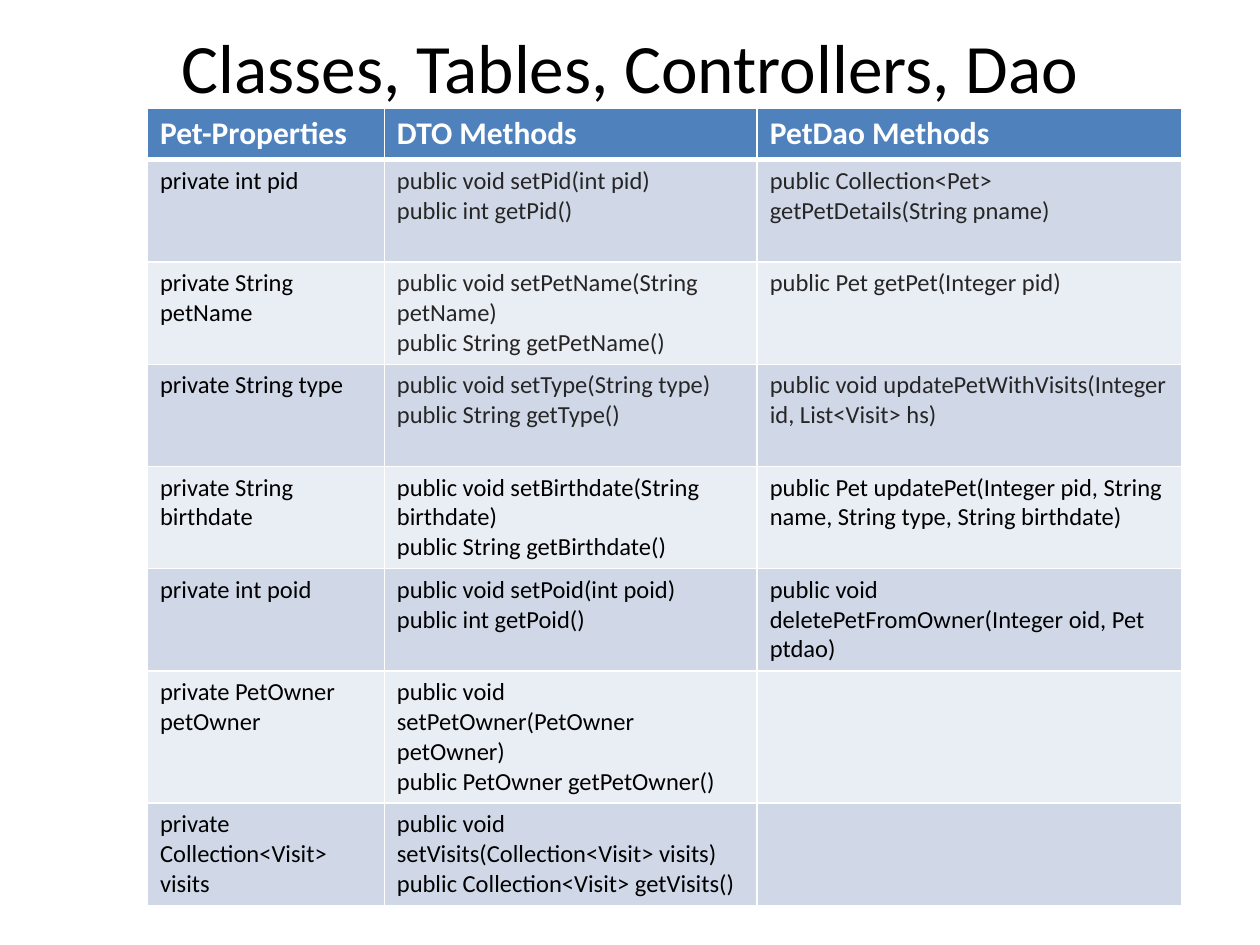
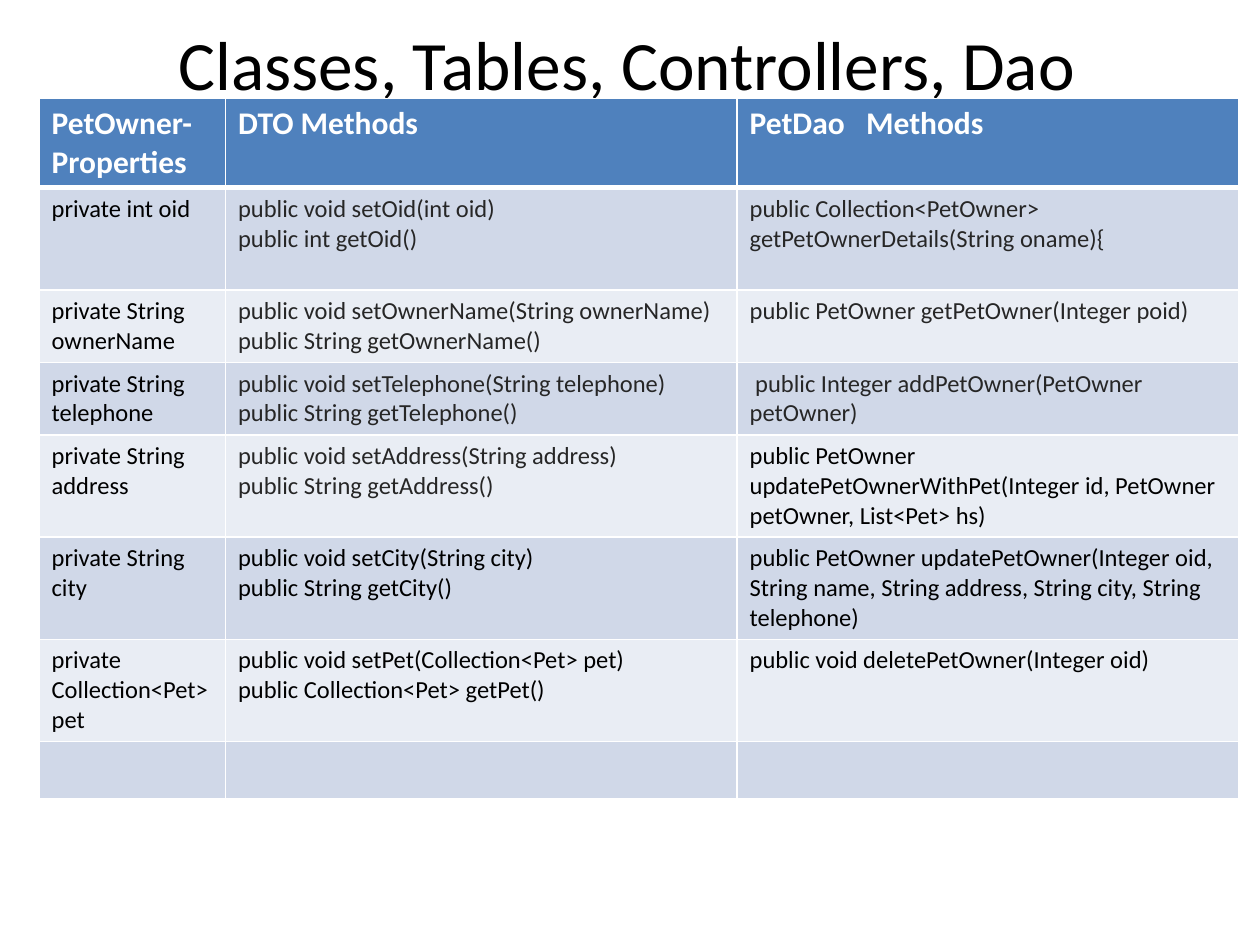
from dataclasses import dataclass

from lxml import etree
from pptx import Presentation
from pptx.dml.color import RGBColor
from pptx.enum.text import MSO_ANCHOR, MSO_AUTO_SIZE, PP_ALIGN
from pptx.oxml.ns import qn
from pptx.util import Inches, Pt

CENTER, LEFT = PP_ALIGN.CENTER, PP_ALIGN.LEFT
MIDDLE = MSO_ANCHOR.MIDDLE
NO_FIT = MSO_AUTO_SIZE.NONE

COLORS = {
    "header": "4F81BD",
    "odd": "D0D8E8",
    "even": "E9EDF4",
    "grid": "FFFFFF",
    "heading": "FFFFFF",
    "text": "000000",
    "muted": "262626",
}
FONT = "Calibri"
TITLE = "Classes, Tables, Controllers, Dao"
TITLE_SIZE, HEADER_SIZE, BODY_SIZE = 39.6, 18, 14
LINE_SPACING = 1.22
CELL_PADDING = 7.2
THIN, THICK = 1, 3
TITLE_ONLY = 5
SLIDE_WIDTH, SLIDE_HEIGHT = Inches(10), Inches(7.5)


@dataclass(frozen=True)
class Row:
    cells: tuple[str, str, str]
    lines: int
    muted: tuple[int, ...] = ()


@dataclass(frozen=True)
class ClassPage:
    """Positions and widths are percentages of the slide's size."""
    title_box: tuple[float, float, float, float]
    table_left: float
    table_top: float
    columns: tuple[float, float, float]
    rows: tuple[Row, ...]


PAGES = (
    ClassPage((5, 4, 90, 6), 11.7, 11.5, (18.8, 29.6, 33.7), (
        Row(("Pet-Properties", "DTO Methods", "PetDao Methods"), 1),
        Row(("private int pid",
             "public void setPid(int pid)\npublic int getPid()",
             "public Collection<Pet> getPetDetails(String pname)"), 3, (1, 2)),
        Row(("private String petName",
             "public void setPetName(String petName)\npublic String getPetName()",
             "public Pet getPet(Integer pid)"), 3, (1, 2)),
        Row(("private String type",
             "public void setType(String type)\npublic String getType()",
             "public void updatePetWithVisits(Integer id, List<Visit> hs)"), 3, (1, 2)),
        Row(("private String birthdate",
             "public void setBirthdate(String birthdate)\npublic String getBirthdate()",
             "public Pet updatePet(Integer pid, String name, String type, String birthdate)"), 3),
        Row(("private int poid",
             "public void setPoid(int poid)\npublic int getPoid()",
             "public void deletePetFromOwner(Integer oid, Pet ptdao)"), 3),
        Row(("private PetOwner petOwner",
             "public void setPetOwner(PetOwner petOwner)\npublic PetOwner getPetOwner()",
             ""), 4),
        Row(("private Collection<Visit> visits",
             "public void setVisits(Collection<Visit> visits)\n"
             "public Collection<Visit> getVisits()",
             ""), 3),
    )),
    ClassPage((5, 4, 89.5, 5.33), 3.1, 10.4, (14.8, 40.6, 39.8), (
        Row(("PetOwner-Properties", "DTO Methods", "PetDao   Methods"), 2),
        Row(("private int oid",
             "public void setOid(int oid)\npublic int getOid()",
             "public Collection<PetOwner> getPetOwnerDetails(String oname){"), 3, (1, 2)),
        Row(("private String ownerName",
             "public void setOwnerName(String ownerName)\npublic String getOwnerName()",
             "public PetOwner getPetOwner(Integer poid)"), 2, (1, 2)),
        Row(("private String telephone",
             "public void setTelephone(String telephone)\npublic String getTelephone()",
             " public Integer addPetOwner(PetOwner petOwner)"), 2, (1, 2)),
        Row(("private String address",
             "public void setAddress(String address)\npublic String getAddress()",
             "public PetOwner updatePetOwnerWithPet(Integer id, PetOwner petOwner, "
             "List<Pet> hs)"), 3, (1,)),
        Row(("private String city",
             "public void setCity(String city)\npublic String getCity()",
             "public PetOwner updatePetOwner(Integer oid, String name, String address, "
             "String city, String telephone)"), 3),
        Row(("private Collection<Pet> pet",
             "public void setPet(Collection<Pet> pet)\npublic Collection<Pet> getPet()",
             "public void deletePetOwner(Integer oid)"), 3),
        Row(("", "", ""), 1.5),
    )),
)


def across(percent: float) -> int:
    return round(SLIDE_WIDTH * percent / 100)


def down(percent: float) -> int:
    return round(SLIDE_HEIGHT * percent / 100)


def write_text(frame, text: str, size: float, color: str, bold: bool, align) -> None:
    frame.text = text
    for para in frame.paragraphs:
        para.alignment = align
        formats = {"name": FONT, "size": Pt(size), "bold": bold}
        for span in para.runs:
            for key, value in formats.items():
                setattr(span.font, key, value)
            span.font.color.rgb = RGBColor.from_string(COLORS[color])


def add_borders(cell, top: float, bottom: float) -> None:
    """Insert the cell's border lines ahead of its fill, as the schema demands."""
    properties = cell._tc.get_or_add_tcPr()
    widths = {"a:lnL": THIN, "a:lnR": THIN, "a:lnT": top, "a:lnB": bottom}
    for position, (tag, width) in enumerate(widths.items()):
        line = etree.Element(qn(tag), w=str(Pt(width)))
        fill = etree.SubElement(line, qn("a:solidFill"))
        etree.SubElement(fill, qn("a:srgbClr"), val=COLORS["grid"])
        properties.insert(position, line)


def add_title(page, box: tuple[float, float, float, float]) -> None:
    title = page.shapes.title
    left, top, width, height = box
    place = {"left": across(left), "top": down(top),
             "width": across(width), "height": down(height)}
    for key, value in place.items():
        setattr(title, key, value)
    frame = title.text_frame
    write_text(frame, TITLE, TITLE_SIZE, "text", False, CENTER)
    for key, value in {"vertical_anchor": MIDDLE, "auto_size": NO_FIT}.items():
        setattr(frame, key, value)


def add_class_table(page, content: ClassPage) -> None:
    sizes = [BODY_SIZE if index else HEADER_SIZE for index in range(len(content.rows))]
    heights = [Pt(row.lines * size * LINE_SPACING + CELL_PADDING)
               for row, size in zip(content.rows, sizes)]
    table = page.shapes.add_table(
        len(content.rows), len(content.columns),
        across(content.table_left), down(content.table_top),
        across(sum(content.columns)), sum(heights)).table
    for column, width in zip(table.columns, content.columns):
        column.width = across(width)

    for index, row in enumerate(content.rows):
        table.rows[index].height = heights[index]
        is_header = index == 0
        band = "header" if is_header else ("odd" if index % 2 else "even")
        for column, text in enumerate(row.cells):
            cell = table.cell(index, column)
            cell.fill.solid()
            cell.fill.fore_color.rgb = RGBColor.from_string(COLORS[band])
            color = "muted" if column in row.muted else "text"
            write_text(cell.text_frame, text, sizes[index],
                       "heading" if is_header else color, is_header, LEFT)
            add_borders(cell, THICK if index == 1 else THIN,
                        THICK if is_header else THIN)


def main() -> None:
    deck = Presentation()
    deck.slide_width, deck.slide_height = SLIDE_WIDTH, SLIDE_HEIGHT
    for content in PAGES:
        page = deck.slides.add_slide(deck.slide_layouts[TITLE_ONLY])
        add_title(page, content.title_box)
        add_class_table(page, content)
    deck.save("out.pptx")


if __name__ == "__main__":
    main()
